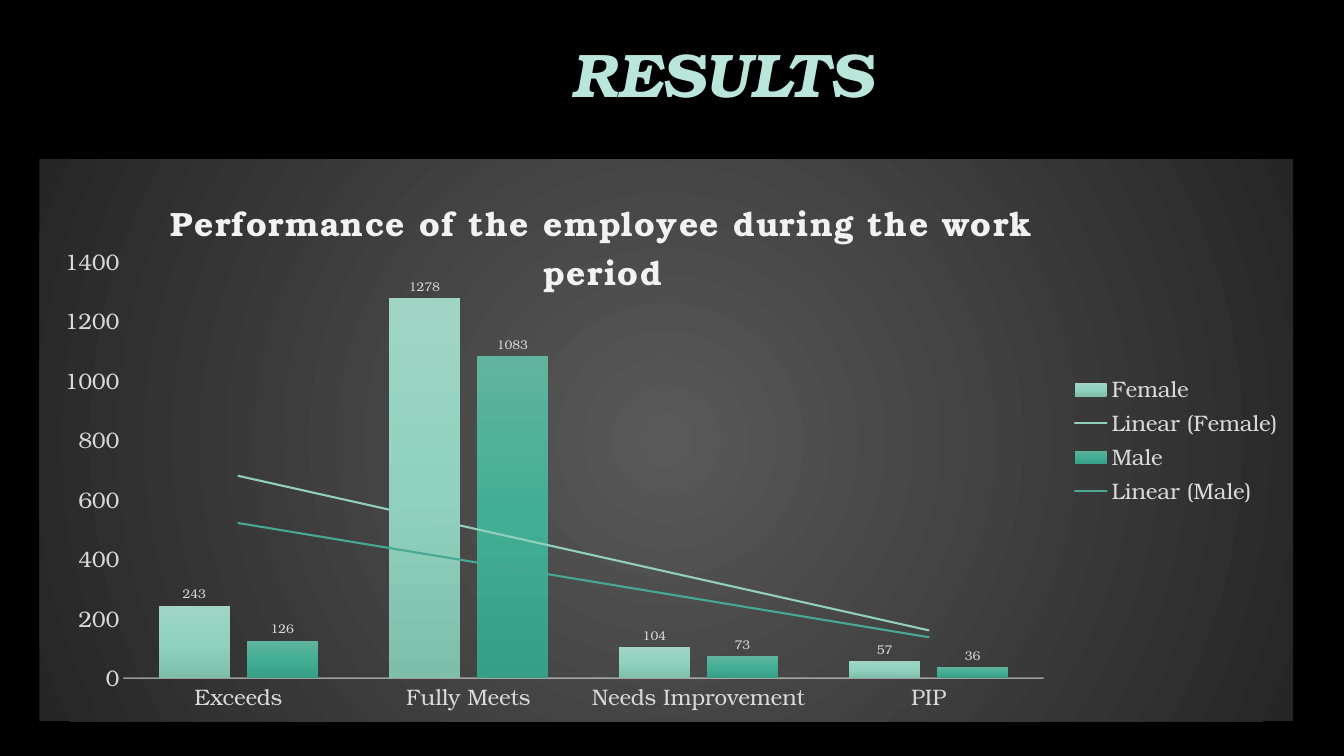
from dataclasses import dataclass

from lxml import etree
from pptx import Presentation
from pptx.chart.data import CategoryChartData
from pptx.dml.color import RGBColor
from pptx.enum.chart import (XL_CHART_TYPE, XL_LABEL_POSITION,
                             XL_LEGEND_POSITION, XL_TICK_MARK)
from pptx.enum.text import MSO_ANCHOR, PP_ALIGN
from pptx.oxml import parse_xml
from pptx.oxml.ns import nsdecls, qn
from pptx.util import Cm, Pt

COLUMNS = XL_CHART_TYPE.COLUMN_CLUSTERED
OUTSIDE = XL_LABEL_POSITION.OUTSIDE_END
RIGHT = XL_LEGEND_POSITION.RIGHT
NO_TICK = XL_TICK_MARK.NONE
CENTER, MIDDLE = PP_ALIGN.CENTER, MSO_ANCHOR.MIDDLE
TITLE_ONLY = 5


@dataclass(frozen=True)
class Theme:
    font: str = "TeX Gyre Bonum"
    background: str = "000000"
    title: str = "B9E5DA"
    outline: str = "0D0D0D"
    shadow: str = "0F6B54"
    chart_title: str = "F2F2F2"
    text: str = "D9D9D9"
    axis: str = "F2F2F2"
    panel: tuple = ((0, "595959"), (100, "262626"))
    title_size: int = 44
    chart_title_size: int = 24
    axis_size: int = 16
    label_size: int = 9


THEME = Theme()
CATEGORIES = ["Exceeds", "Fully Meets", "Needs Improvement", "PIP"]
# Name, values, column gradient, trend line colour
SERIES = [
    ("Female", (243, 1278, 104, 57),
     ((0, "A0D5C5"), (50, "90D2BF"), (100, "7DBFAB")), "93CFBD"),
    ("Male", (126, 1083, 73, 36),
     ((0, "61B49E"), (50, "42AE93"), (100, "369F85")), "47A991"),
]


def apply(target, **values):
    for name, value in values.items():
        setattr(target, name, value)


def style_font(font, size, color, **extra):
    apply(font, name=THEME.font, size=Pt(size), **extra)
    font.color.rgb = RGBColor.from_string(color)


def gradient(stops, direction):
    gs = "".join(f'<a:gs pos="{pos * 1000}"><a:srgbClr val="{color}"/></a:gs>'
                 for pos, color in stops)
    return f'<a:gradFill {nsdecls("a")}><a:gsLst>{gs}</a:gsLst>{direction}</a:gradFill>'


def add_title(s, text):
    sp = s.shapes.title
    apply(sp, left=Cm(13.54), top=Cm(0.86), width=Cm(9.32), height=Cm(1.93))
    tf = sp.text_frame
    apply(tf, vertical_anchor=MIDDLE, word_wrap=True, margin_left=0,
          margin_top=Cm(0.03), margin_right=0, margin_bottom=0)
    p = tf.paragraphs[0]
    apply(p, alignment=CENTER, space_before=Pt(1.1))
    r = p.add_run()
    r.text = text
    style_font(r.font, THEME.title_size, THEME.title, bold=True, italic=True)
    # Letter outline and shadow
    fill = r.font.fill._xPr.find(qn("a:solidFill"))
    fill.addprevious(parse_xml(
        f'<a:ln {nsdecls("a")} w="{Pt(1.75)}"><a:solidFill>'
        f'<a:srgbClr val="{THEME.outline}"/></a:solidFill></a:ln>'))
    fill.addnext(parse_xml(
        f'<a:effectLst {nsdecls("a")}><a:outerShdw blurRad="38100" dist="38100" '
        f'dir="2700000"><a:srgbClr val="{THEME.shadow}"/></a:outerShdw></a:effectLst>'))


def place(parent, before, x, y, w=None, h=None):
    """Put a manual layout, in fractions of the chart, ahead of an element."""
    sizes = {"x": x, "y": y, "w": w, "h": h}
    for old in parent.findall(qn("c:layout")):
        parent.remove(old)
    target = '<c:layoutTarget val="inner"/>' if w else ""
    modes = '<c:xMode val="edge"/><c:yMode val="edge"/>'
    parts = "".join(f'<c:{k} val="{v}"/>' for k, v in sizes.items() if v)
    parent.find(qn(before)).addprevious(parse_xml(
        f'<c:layout {nsdecls("c")}><c:manualLayout>{target}{modes}{parts}'
        '</c:manualLayout></c:layout>'))


def style_panel(chart):
    direction = ('<a:path path="circle"><a:fillToRect l="50000" t="50000" '
                 'r="50000" b="50000"/></a:path>')
    chart._chartSpace.find(qn("c:chart")).addnext(parse_xml(
        f'<c:spPr {nsdecls("c", "a")}>{gradient(THEME.panel, direction)}'
        '<a:ln><a:noFill/></a:ln></c:spPr>'))


def style_title(chart, text):
    chart.has_title = True
    title = chart.chart_title
    title.include_in_layout = False
    r = title.text_frame.paragraphs[0].add_run()
    r.text = text
    style_font(r.font, THEME.chart_title_size, THEME.chart_title, bold=True)
    r.font.fill._xPr.set("spc", "100")
    place(title._element, "c:overlay", 0.1, 0.05)


def style_axes(chart):
    for axis in (chart.category_axis, chart.value_axis):
        apply(axis, has_major_gridlines=False, major_tick_mark=NO_TICK,
              minor_tick_mark=NO_TICK)
        style_font(axis.tick_labels.font, THEME.axis_size, THEME.text)
    apply(chart.value_axis, minimum_scale=0, maximum_scale=1400, major_unit=200)
    chart.value_axis.format.line.fill.background()
    line = chart.category_axis.format.line
    line.width = Pt(1)
    line.color.rgb = RGBColor.from_string(THEME.axis)
    color = line._get_or_add_ln().find(".//" + qn("a:srgbClr"))
    etree.SubElement(color, qn("a:alpha")).set("val", "54000")


def style_series(series, stops, trend_color):
    series.format.fill.solid()
    series.format.line.fill.background()
    spPr = series._element.find(qn("c:spPr"))
    spPr.replace(spPr.find(qn("a:solidFill")),
                 parse_xml(gradient(stops, '<a:lin ang="5400000" scaled="0"/>')))
    labels = series.data_labels
    apply(labels, show_value=True, position=OUTSIDE)
    style_font(labels.font, THEME.label_size, THEME.text)
    # Linear trend line
    series._element.find(qn("c:cat")).addprevious(parse_xml(
        f'<c:trendline {nsdecls("c", "a")}><c:spPr><a:ln w="{Pt(1.5)}" cap="rnd">'
        f'<a:solidFill><a:srgbClr val="{trend_color}"/></a:solidFill></a:ln></c:spPr>'
        '<c:trendlineType val="linear"/><c:dispRSqr val="0"/><c:dispEq val="0"/>'
        '</c:trendline>'))


def add_performance_chart(s):
    data = CategoryChartData()
    data.categories = CATEGORIES
    for name, values, _, _ in SERIES:
        data.add_series(name, values)
    chart = s.shapes.add_chart(COLUMNS, Cm(0.99), Cm(4.01), Cm(31.6), Cm(14.17),
                               data).chart
    style_font(chart.font, 10, "FFFFFF")
    style_panel(chart)
    style_title(chart, "Performance of the employee during the work period")
    style_axes(chart)
    # Columns
    plot = chart.plots[0]
    apply(plot, gap_width=100, overlap=-24, vary_by_categories=False)
    for series, (_, _, stops, trend_color) in zip(plot.series, SERIES):
        style_series(series, stops, trend_color)
    place(chart._chartSpace.find(".//" + qn("c:plotArea")), "c:barChart",
          0.067, 0.183, 0.734, 0.74)
    # Legend
    chart.has_legend = True
    apply(chart.legend, position=RIGHT, include_in_layout=False)
    style_font(chart.legend.font, THEME.axis_size, THEME.text)


def main():
    prs = Presentation()
    apply(prs, slide_width=Cm(33.87), slide_height=Cm(19.05))
    s = prs.slides.add_slide(prs.slide_layouts[TITLE_ONLY])
    fill = s.background.fill
    fill.solid()
    fill.fore_color.rgb = RGBColor.from_string(THEME.background)
    add_title(s, "RESULTS")
    add_performance_chart(s)
    prs.save("out.pptx")


if __name__ == "__main__":
    main()
